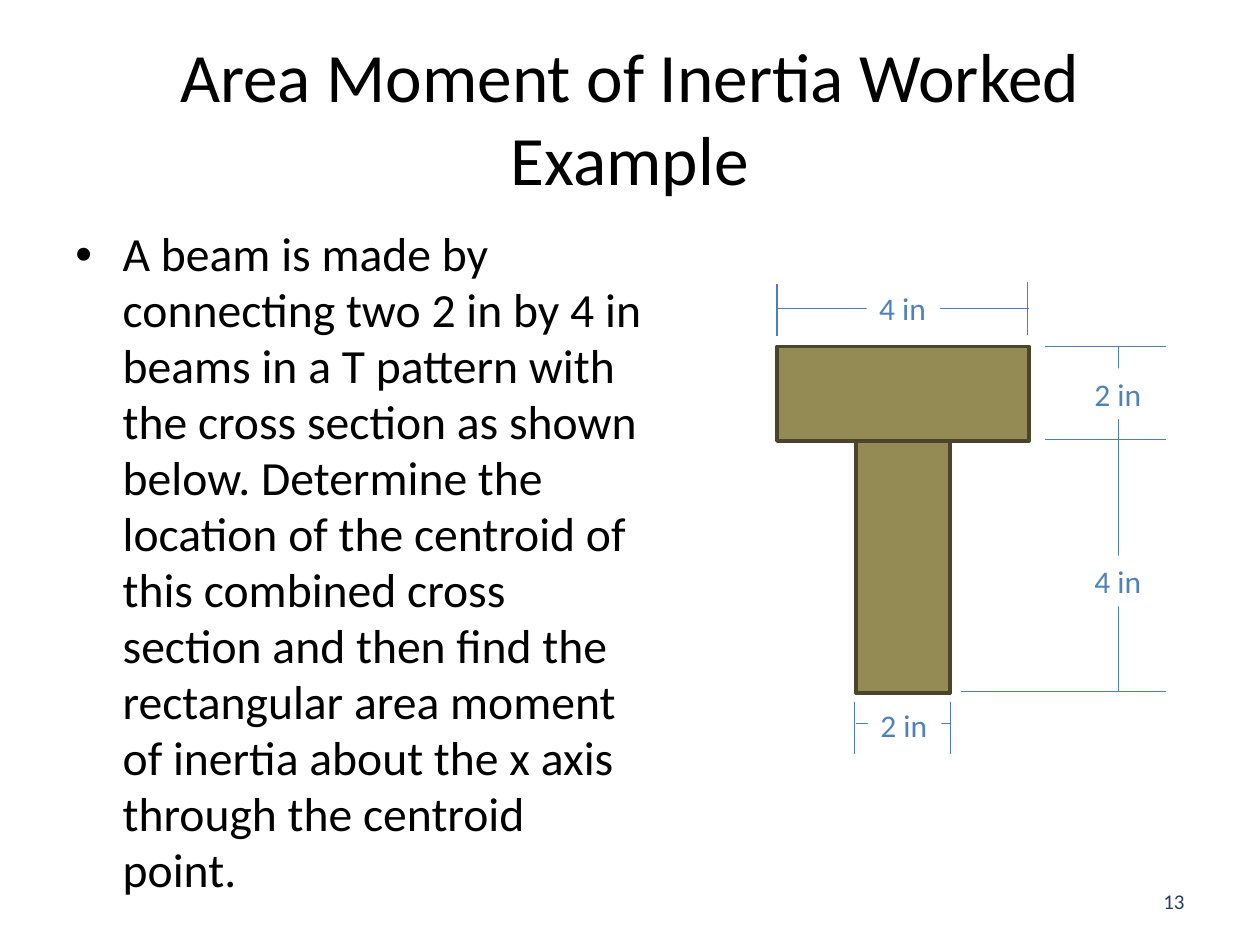
from pptx import Presentation
from pptx.dml.color import RGBColor
from pptx.enum.shapes import MSO_CONNECTOR as Link, MSO_SHAPE as Preset
from pptx.enum.text import MSO_ANCHOR as Anchor, PP_ALIGN as Align
from pptx.oxml.ns import qn
from pptx.util import Pt
from lxml.etree import SubElement

BLACK = RGBColor(0x00, 0x00, 0x00)
WHITE = RGBColor(0xFF, 0xFF, 0xFF)
NAVY = RGBColor(0x25, 0x40, 0x61)
OLIVE = RGBColor(0x94, 0x8A, 0x54)
DARK_OLIVE = RGBColor(0x4A, 0x45, 0x2A)
LINE_BLUE = RGBColor(0x4B, 0x7E, 0xBC)
LABEL_BLUE = RGBColor(0x4F, 0x81, 0xBD)


class Sketch:
    """Draws text, beams and dimensions on one page in a shared style."""

    font = "Calibri"

    def __init__(self, page):
        self.page = page

    def fill_text(self, box, words, size, color, align=Align.LEFT, anchor=Anchor.TOP, wrap=True):
        frame = box.text_frame
        for name, value in {"word_wrap": wrap, "vertical_anchor": anchor}.items():
            setattr(frame, name, value)
        para = frame.paragraphs[0]
        para.alignment = align
        span = para.add_run()
        span.text = words
        span.font.color.rgb = color
        for name, value in {"name": self.font, "size": Pt(size)}.items():
            setattr(span.font, name, value)
        return para

    def text(self, place, words, size, color, **layout):
        box = self.page.shapes.add_textbox(*map(Pt, place))
        return self.fill_text(box, words, size, color, **layout)

    def bullet(self, place, words, size, color):
        para = self.text(place, words, size, color)
        para.line_spacing = 0.98
        properties = para._p.get_or_add_pPr()
        properties.set("marL", str(Pt(27)))
        properties.set("indent", str(Pt(-27)))
        SubElement(properties, qn("a:buFont"), typeface="Arial")
        SubElement(properties, qn("a:buChar"), char="•")

    def rectangle(self, place, fill):
        shape = self.page.shapes.add_shape(Preset.RECTANGLE, *map(Pt, place))
        shape.shadow.inherit = False
        shape.fill.solid()
        shape.fill.fore_color.rgb = fill
        return shape

    def beam(self, place):
        shape = self.rectangle(place, OLIVE)
        shape.line.color.rgb = DARK_OLIVE
        shape.line.width = Pt(2)

    def line(self, *ends):
        connector = self.page.shapes.add_connector(Link.STRAIGHT, *map(Pt, ends))
        connector.line.color.rgb = LINE_BLUE
        connector.line.width = Pt(0.75)
        SubElement(connector._element.spPr, qn("a:effectLst"))

    def label(self, left, top, words):
        shape = self.rectangle((left, top, 42, 29), WHITE)
        shape.line.fill.background()
        self.fill_text(shape, words, 18, LABEL_BLUE, wrap=False)


def main():
    deck = Presentation()
    deck.slide_width, deck.slide_height = Pt(720), Pt(540)
    sketch = Sketch(deck.slides.add_slide(deck.slide_layouts[6]))

    sketch.text((36, 21.6, 648, 90), "Area Moment of Inertia Worked Example", 39.6, BLACK,
                align=Align.CENTER, anchor=Anchor.MIDDLE)
    sketch.bullet(
        (36, 126, 342, 374.4),
        "A beam is made by connecting two 2 in by 4 in beams in a T pattern with the cross "
        "section as shown below. Determine the location of the centroid of this combined cross "
        "section and then find the rectangular area moment of inertia about the x axis through "
        "the centroid point.", 27.2, BLACK)
    sketch.text((516, 500.4, 168, 28.8), "13", 12, NAVY, align=Align.RIGHT, anchor=Anchor.MIDDLE)

    long_side, short_side = 144, 54
    left, top = 444, 198
    joint = top + short_side
    stem_left = left + (long_side - short_side) / 2
    sketch.beam((left, top, long_side, short_side))
    sketch.beam((stem_left, joint, short_side, long_side))

    for start, level in ((597, top), (597, joint - 0.7), (549, 395.3)):
        sketch.line(start, level, 666, level)
    for across, start in ((488.4, 401), (543, 401), (left, 162), (587, 161.3)):
        sketch.line(across, start, across, start + 30)
    sketch.line(543, 413.3, 489, 413.3)
    sketch.line(639.2, 395.3, 639.2, top)
    sketch.line(left + long_side, 176.4, left, 176.4)

    for label in ((618.3, 210.5, "2 in"), (618.3, 317.5, "4 in"),
                  (495.3, 161.5, "4 in"), (496, 399.8, "2 in")):
        sketch.label(*label)

    deck.save("out.pptx")


if __name__ == "__main__":
    main()
